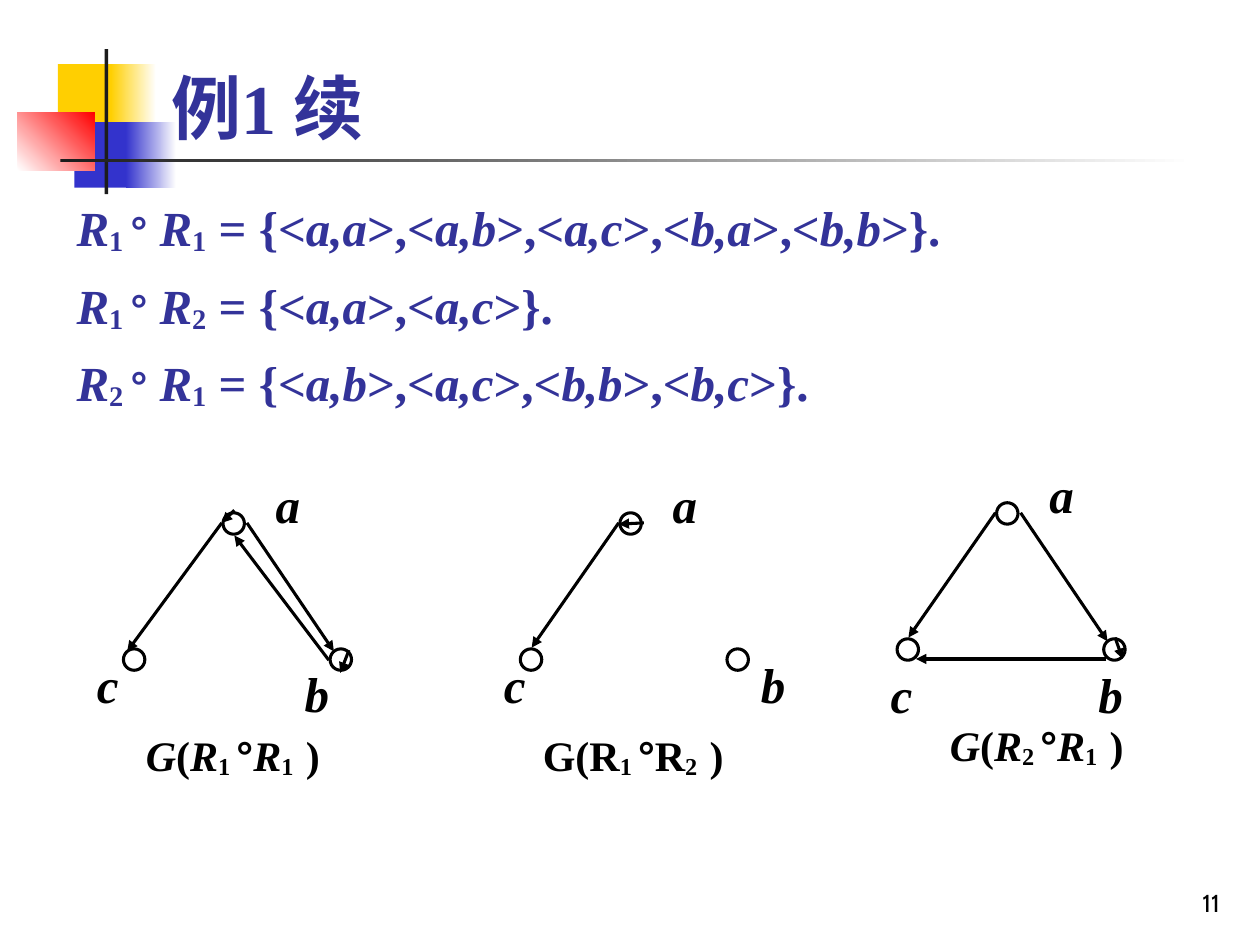
from lxml import etree
from pptx import Presentation
from pptx.dml.color import RGBColor
from pptx.enum.shapes import MSO_CONNECTOR, MSO_SHAPE
from pptx.enum.text import MSO_ANCHOR, MSO_AUTO_SIZE, PP_ALIGN
from pptx.oxml.ns import qn
from pptx.util import Inches, Pt

RECT, OVAL = MSO_SHAPE.RECTANGLE, MSO_SHAPE.OVAL
LINE = MSO_CONNECTOR.STRAIGHT
TOP, BOTTOM = MSO_ANCHOR.TOP, MSO_ANCHOR.BOTTOM
GROW, FIXED = MSO_AUTO_SIZE.SHAPE_TO_FIT_TEXT, MSO_AUTO_SIZE.NONE
LEFT, RIGHT = PP_ALIGN.LEFT, PP_ALIGN.RIGHT

COLORS = {"ink": "000000", "text": "333399", "gold": "FFCF01", "blue": "3333CC",
          "red": "FF0000", "bar": "1C1C1C", "white": "FFFFFF"}
COLS, ROWS = 100, 75
SERIF, SANS = "Times New Roman", "Arial"
DOT = 1.7

BLOCKS = [
    ((4.6, 5.1, 4.8, 5.2), ["gold"], 0),
    ((8.8, 5.1, 3.6, 5.2), ["gold", "white"], 0),
    ((5.9, 9.7, 4.6, 5.2), ["blue"], 0),
    ((10, 9.7, 4, 5.2), ["blue", "white"], 0),
    ((1.4, 8.9, 6.1, 4.6), ["white", "red"], 45),
    ((8.3, 3.9, 0.3, 11.5), ["bar"], 0),
    ((4.8, 12.6, 90, 0.3), ["bar", "white"], 0),
]
SETS = [("1", "1", "aa ab ac ba bb"), ("1", "2", "aa ac"), ("2", "1", "ab ac bb bc")]
NODES = [(0, 0), (-7.9, 10.8), (8.5, 10.8)]
A_TO_B = (1.9, 0.8, 8.8, 11)
A_TO_C = (-0.1, 0.8, -7, 10.7)
GRAPHS = [
    {"at": (17.7, 40.7), "c": (-11, 10.3), "b": (5.5, 11), "name": (-7.1, 15.7, 17.3),
     "rel": ("1", "1"), "slant": True,
     "edges": [(0.9, -0.2, -0.1, 0.8), A_TO_B, (8.4, 11.7, 0.9, 1.8),
               (-0.1, 0.8, -7.6, 11), (10, 10.9, 9.3, 12.7)]},
    {"at": (49.2, 40.7), "c": (-10.2, 10.3), "b": (10.2, 10.3), "name": (-7.1, 15.7, 18.1),
     "rel": ("1", "2"), "slant": False,
     "edges": [A_TO_C, (1.9, 0.8, -0.1, 0.9)]},
    {"at": (79.1, 39.9), "c": (-9.4, 11.9), "b": (7.1, 11.9), "name": (-4.7, 15.7, 17.3),
     "rel": ("2", "1"), "slant": True,
     "edges": [A_TO_B, (8.7, 12.4, -6.4, 12.4), A_TO_C, (9.4, 10.7, 10, 12.4)]},
]


def run(text, size=28, font=SERIF, slant=False, sub=False, bold=True):
    """Describe one run of text."""
    return text, size, font, slant, sub, bold


def formula(left, right, pairs):
    """List the runs of one composed relation."""
    runs = [run("R", slant=True), run(left + " ", sub=True), run("°", 24, SANS),
            run(" "), run("R", slant=True), run(right, sub=True)]
    lead = " = {<"
    for pair in pairs.split():
        runs += [run(lead), run(",".join(pair), slant=True)]
        lead = ">,<"
    return runs + [run(">}.")]


def caption(left, right, slant):
    """List the runs of a graph's name."""
    return [run("G", 24, slant=slant), run("(", 24), run("R", 24, slant=slant),
            run(left + " ", 24, sub=True), run("°", 24, SANS),
            run("R", 24, slant=slant), run(right, 24, sub=True), run(" "), run(")", 24)]


class Board:
    """Hold the style, the slide and the current set of shapes."""

    def __init__(self, deck):
        """Add a title-only slide."""
        self.unit = deck.slide_width / COLS, deck.slide_height / ROWS
        self.slide = deck.slides.add_slide(deck.slide_layouts[5])
        self.shapes = self.slide.shapes

    def grid(self, *spots):
        """Turn columns and rows into lengths."""
        return [round(n * self.unit[i % 2]) for i, n in enumerate(spots)]

    def color(self, name):
        """Look up a colour."""
        return RGBColor.from_string(COLORS[name])

    def block(self, spot, hues, angle):
        """Draw a plain or graded rectangle."""
        shape = self.shapes.add_shape(RECT, *self.grid(*spot))
        shape.shadow.inherit = False
        shape.line.fill.background()
        if len(hues) == 1:
            shape.fill.solid()
            shape.fill.fore_color.rgb = self.color(hues[0])
            return
        shape.fill.gradient()
        shape.fill.gradient_angle = angle
        for stop, hue, place in zip(shape.fill.gradient_stops, hues, (0, 1)):
            stop.color.rgb = self.color(hue)
            stop.position = place

    def node(self, x, y):
        """Draw a hollow vertex."""
        shape = self.shapes.add_shape(OVAL, *self.grid(x, y, DOT, DOT))
        shape.shadow.inherit = False
        shape.fill.background()
        self.stroke(shape)

    def stroke(self, shape):
        """Style a line."""
        shape.line.color.rgb = self.color("ink")
        shape.line.width = Pt(1.75)

    def arrow(self, *ends):
        """Draw a line with a head at its end."""
        line = self.shapes.add_connector(LINE, *self.grid(*ends))
        self.stroke(line)
        etree.SubElement(line.line._get_or_add_ln(), qn("a:tailEnd"), type="triangle")
        etree.SubElement(line._element.spPr, qn("a:effectLst"))

    def fill(self, frame, lines, hue, align=LEFT, anchor=TOP, size=FIXED):
        """Write paragraphs run by run and return them."""
        frame.word_wrap = True
        frame.auto_size = size
        frame.vertical_anchor = anchor
        for i, runs in enumerate(lines):
            para = frame.add_paragraph() if i else frame.paragraphs[0]
            para.alignment = align
            for text, points, font, slant, sub, bold in runs:
                part = para.add_run()
                part.text = text
                part.font.size = Pt(points)
                part.font.name = font
                part.font.bold = bold
                part.font.italic = slant
                part.font.color.rgb = self.color(hue)
                if sub:
                    part._r.get_or_add_rPr().set("baseline", "-10000")
        return frame.paragraphs

    def title(self, spot, text):
        """Place and fill the title."""
        shape = self.slide.shapes.title
        shape.left, shape.top, shape.width, shape.height = self.grid(*spot)
        self.fill(shape.text_frame, [[run(text, 40)]], "text", anchor=BOTTOM)

    def text(self, spot, lines, hue="ink", **style):
        """Add a text box."""
        box = self.shapes.add_textbox(*self.grid(*spot))
        return self.fill(box.text_frame, lines, hue, **style)

    def label(self, x, y, runs, width=4.7):
        """Add a one-line graph label."""
        for para in self.text((x, y, width, 6.2), [runs], size=GROW):
            para.line_spacing = 1.1

    def body(self, spot, lines):
        """Add the list of formulas."""
        for i, para in enumerate(self.text(spot, lines, "text")):
            para.line_spacing = 1.1
            para.space_before = Pt(7 if i else 0)
            props = para._p.get_or_add_pPr()
            props.set("marL", str(Inches(0.38)))
            props.set("indent", str(-Inches(0.38)))

    def graph(self, data):
        """Draw one grouped relation graph."""
        x, y = data["at"]
        self.shapes = self.slide.shapes.add_group_shape().shapes
        for dx, dy in NODES:
            self.node(x + dx, y + dy)
        for x1, y1, x2, y2 in data["edges"]:
            self.arrow(x + x1, y + y1, x + x2, y + y2)
        for name, (dx, dy) in (("a", (3.2, -4)), ("c", data["c"]), ("b", data["b"])):
            self.label(x + dx, y + dy, [run(name, slant=True)])
        dx, dy, width = data["name"]
        self.label(x + dx, y + dy, caption(*data["rel"], data["slant"]), width)
        self.shapes = self.slide.shapes


def main():
    """Build and save the slide."""
    deck = Presentation()
    deck.slide_width, deck.slide_height = Inches(10), Inches(7.5)
    board = Board(deck)
    for block in BLOCKS:
        board.block(*block)
    board.text((77, 68.3, 20.8, 5), [[run("11", 14, "Cabin", bold=False)]],
               align=RIGHT, anchor=BOTTOM)
    board.title((12.6, 3.9, 85.2, 8.4), "例1 续")
    board.body((5.1, 14.7, 91.3, 51.2), [formula(*row) for row in SETS])
    for data in GRAPHS:
        board.graph(data)
    deck.save("out.pptx")


if __name__ == "__main__":
    main()
